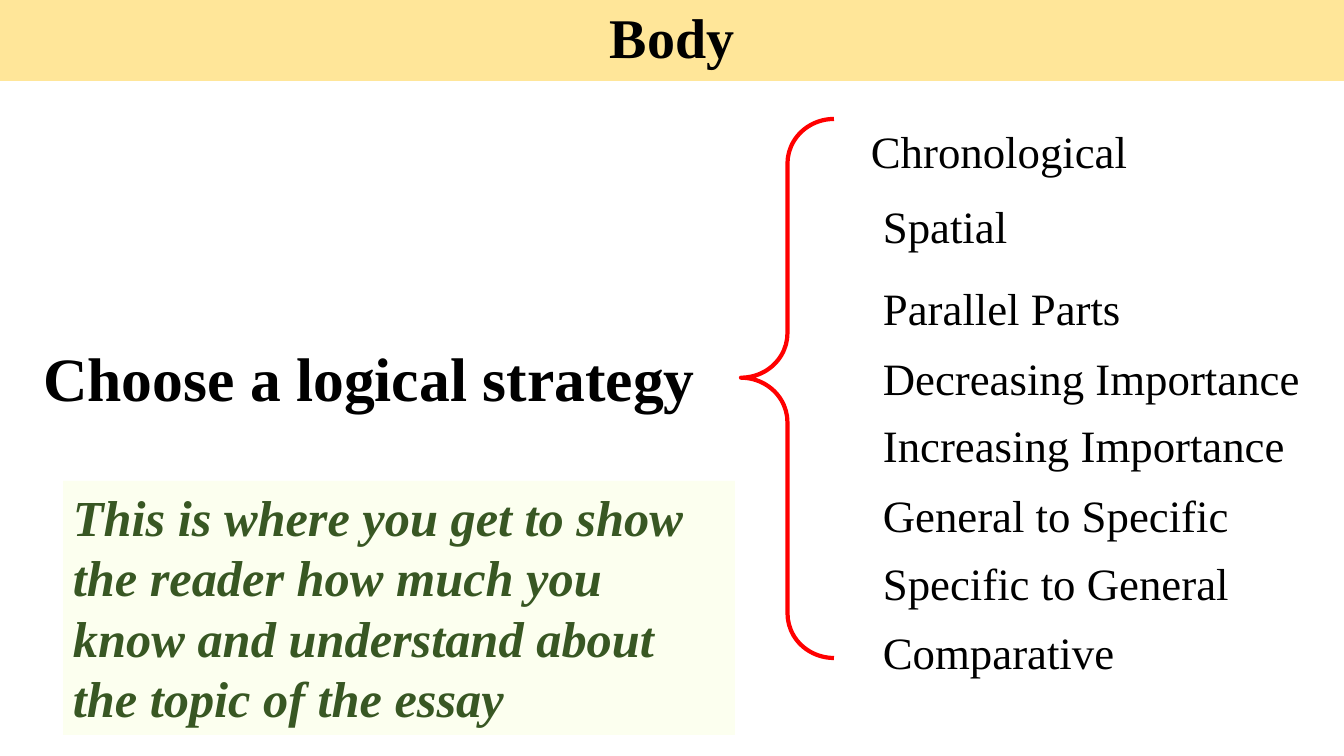
from pptx import Presentation
from pptx.dml.color import RGBColor
from pptx.enum.shapes import MSO_SHAPE
from pptx.enum.text import MSO_ANCHOR, MSO_AUTO_SIZE, PP_ALIGN
from pptx.util import Pt
from lxml import etree

RECTANGLE, LEFT_BRACE = MSO_SHAPE.RECTANGLE, MSO_SHAPE.LEFT_BRACE
TOP, MIDDLE = MSO_ANCHOR.TOP, MSO_ANCHOR.MIDDLE
LEFT, CENTER = PP_ALIGN.LEFT, PP_ALIGN.CENTER
NO_AUTOFIT = MSO_AUTO_SIZE.NONE

TITLE = "Body"
HEADING = "Choose a logical strategy"
NOTE = ("This is where you get to show the reader how much you know "
        "and understand about the topic of the essay")
# text, left, top, width in px
STRATEGIES = [
    ("Chronological", 861, 119, 317),
    ("Spatial", 873, 194, 317),
    ("Parallel Parts", 873, 276, 268),
    ("Decreasing Importance", 873, 346, 486),
    ("Increasing Importance", 873, 413, 486),
    ("General to Specific", 873, 483, 486),
    ("Specific to General", 873, 551, 486),
    ("Comparative", 873, 620, 486),
]
STRATEGY_HEIGHT = 64

FONT = "Times New Roman"
COLORS = {"text": "000000", "banner": "FFE699", "brace": "FF0000",
          "note_fill": "FCFFEF", "note_text": "385723"}
EMU_PER_PX = 914400 / 100.8


def px(length):
    return round(length * EMU_PER_PX)


def color(name):
    return RGBColor.from_string(COLORS[name])


def place(shape, left, top, width, height):
    shape.left, shape.top = px(left), px(top)
    shape.width, shape.height = px(width), px(height)


def fill_shape(shape, name):
    shape.fill.solid()
    shape.fill.fore_color.rgb = color(name)


def write(shape, text, size, color_name="text", bold=False, italic=False,
          align=LEFT, anchor=TOP, line_spacing=1.0):
    frame = shape.text_frame
    frame.word_wrap = True
    frame.auto_size = NO_AUTOFIT
    frame.vertical_anchor = anchor
    paragraph = frame.paragraphs[0]
    paragraph.alignment = align
    paragraph.line_spacing = line_spacing
    paragraph.space_before = Pt(0)
    run = paragraph.add_run()
    run.text = text
    font = run.font
    font.name, font.size = FONT, Pt(size)
    font.bold, font.italic = bold, italic
    font.color.rgb = color(color_name)


def remove_bullet(paragraph):
    properties = paragraph._p.get_or_add_pPr()
    properties.set("marL", "0")
    properties.set("indent", "0")
    namespace = properties.nsmap["a"]
    etree.SubElement(properties, f"{{{namespace}}}buNone")


def main():
    presentation = Presentation()
    presentation.slide_width, presentation.slide_height = px(1344), px(756)
    slide = presentation.slides.add_slide(presentation.slide_layouts[1])
    shapes = slide.shapes

    banner, heading = slide.placeholders
    place(banner, 0, 0, 1344, 81)
    fill_shape(banner, "banner")
    write(banner, TITLE, 40, bold=True, align=CENTER, anchor=MIDDLE,
          line_spacing=0.9)

    place(heading, 33, 320, 731, 137)
    remove_bullet(heading.text_frame.paragraphs[0])
    write(heading, HEADING, 44, bold=True, line_spacing=1.2)

    for text, left, top, width in STRATEGIES:
        box = shapes.add_textbox(px(left), px(top), px(width),
                                 px(STRATEGY_HEIGHT))
        write(box, text, 32)

    brace = shapes.add_shape(LEFT_BRACE, px(741), px(119), px(93), px(539))
    brace.adjustments[0], brace.adjustments[1] = 0.48, 0.48
    brace.shadow.inherit = False
    brace.fill.background()
    brace.line.color.rgb = color("brace")
    brace.line.width = Pt(3)

    note = shapes.add_shape(RECTANGLE, px(63), px(481), px(672), px(254))
    note.shadow.inherit = False
    fill_shape(note, "note_fill")
    note.line.fill.background()
    write(note, NOTE, 36, "note_text", bold=True, italic=True)

    presentation.save("out.pptx")


if __name__ == "__main__":
    main()
